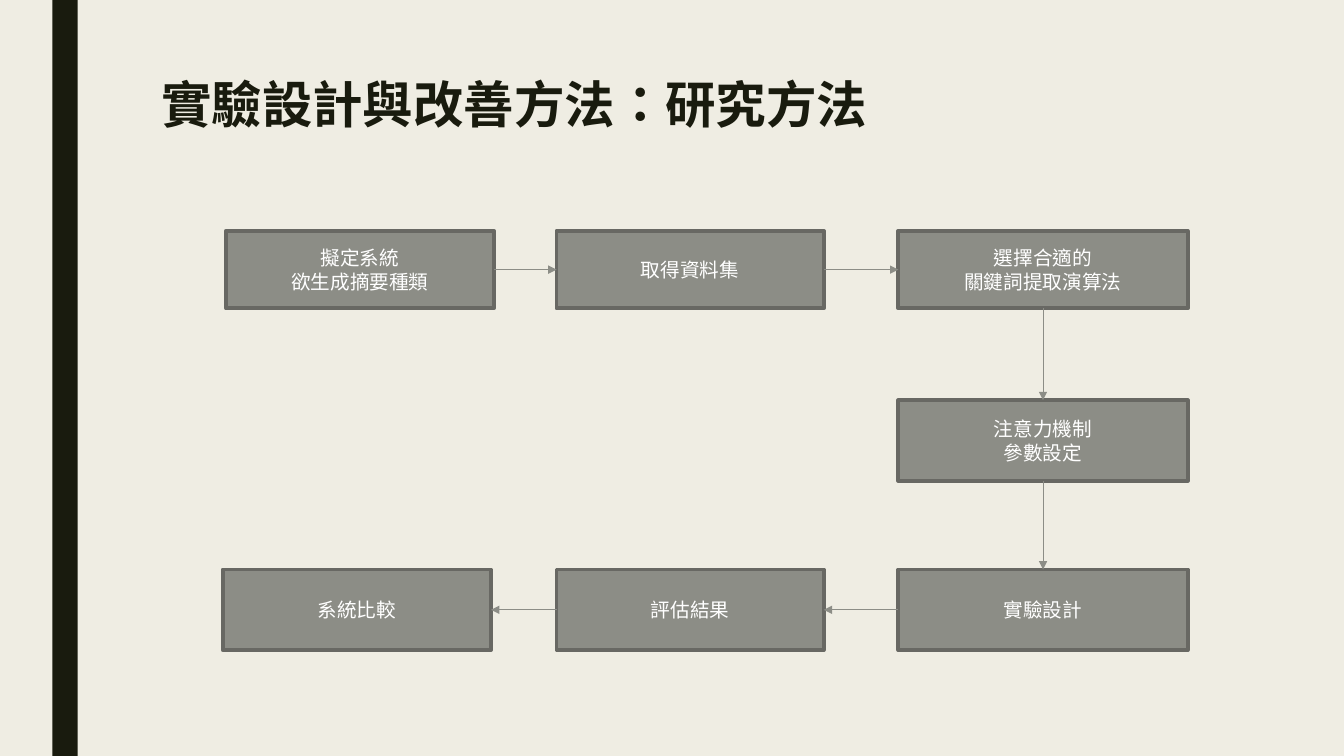
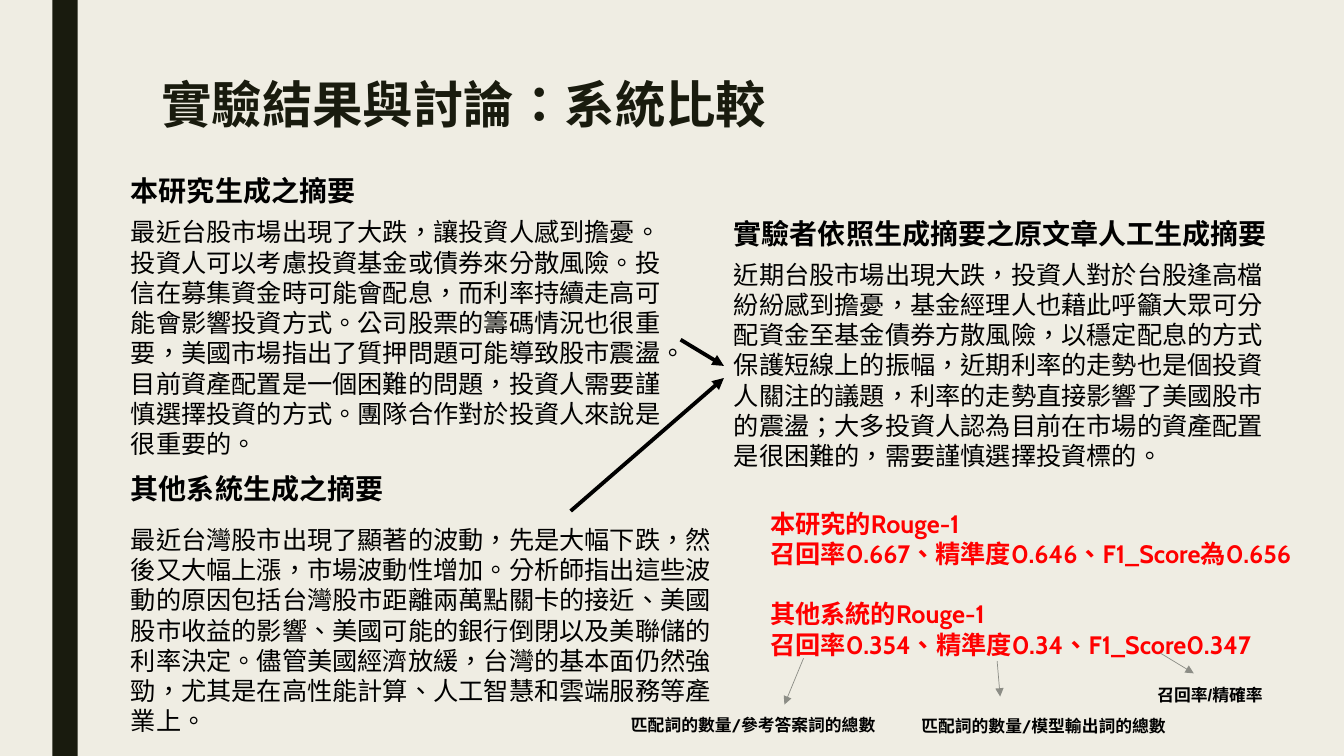
from lxml.etree import SubElement
from pptx import Presentation
from pptx.dml.color import RGBColor
from pptx.enum.lang import MSO_LANGUAGE_ID
from pptx.enum.shapes import MSO_CONNECTOR, MSO_SHAPE
from pptx.enum.text import MSO_ANCHOR, MSO_AUTO_SIZE, PP_ALIGN
from pptx.oxml.ns import qn
from pptx.util import Inches, Pt

COLORS = {
    "paper": "EFEDE3",
    "ink": "191B0E",
    "box": "8C8D86",
    "edge": "686863",
    "white": "FFFFFF",
    "black": "000000",
    "red": "FF0000",
}
TOP, LEFT, BOTTOM, RIGHT = range(4)  # connection sites of a rectangle


def color(name):
    return RGBColor.from_string(COLORS[name])


def write(tf, text, size=18, ink="black", bold=False, font="Cabin",
          align=PP_ALIGN.LEFT, anchor=MSO_ANCHOR.TOP, spacing=None):
    """Fill a text frame, one paragraph per line of text."""
    tf.word_wrap = True
    tf.auto_size = MSO_AUTO_SIZE.NONE
    tf.vertical_anchor = anchor
    tf.text = text
    for p in tf.paragraphs:
        p.alignment = align
        p.line_spacing = spacing
        for r in p.runs:
            r.font.name = font
            r.font.size = Pt(size)
            r.font.bold = bold
            r.font.color.rgb = color(ink)
            r.font.language_id = MSO_LANGUAGE_ID.TRADITIONAL_CHINESE
    return tf


prs = Presentation()
prs.slide_width, prs.slide_height = Inches(13.33), Inches(7.5)

# Shared background, title place and side band
master = prs.slide_master
master.background.fill.solid()
master.background.fill.fore_color.rgb = color("paper")
layout = prs.slide_layouts.get_by_name("Title Only")
title = layout.placeholders[0]
title.left, title.top = Inches(1.5), Inches(0.75)
title.width, title.height = Inches(10.5), Inches(1.62)

slides = []
for heading in ("實驗設計與改善方法：研究方法", "實驗結果與討論：系統比較"):
    s = prs.slides.add_slide(layout)
    write(s.shapes.title.text_frame, heading, size=36, ink="ink", bold=True, spacing=0.89)
    slides.append(s)
method, results = slides

band = method.shapes.add_shape(MSO_SHAPE.RECTANGLE, Inches(0.52), 0, Inches(0.25), prs.slide_height)
band.shadow.inherit = False
band.fill.solid()
band.fill.fore_color.rgb = color("ink")
band.line.fill.background()
master.shapes.element.insert(2, band.element)

# Slide 1: flow chart; each step leaves through the given side
steps = [
    ("擬定系統\n欲生成摘要種類", 2.24, 2.29, 2.66, 0.77, RIGHT),
    ("取得資料集", 5.52, 2.29, 2.65, 0.77, RIGHT),
    ("選擇合適的\n關鍵詞提取演算法", 8.91, 2.29, 2.87, 0.77, BOTTOM),
    ("注意力機制\n參數設定", 8.91, 3.97, 2.87, 0.8, BOTTOM),
    ("實驗設計", 8.91, 5.65, 2.87, 0.8, LEFT),
    ("評估結果", 5.52, 5.65, 2.65, 0.8, LEFT),
    ("系統比較", 2.21, 5.65, 2.66, 0.8, None),
]
boxes = []
for text, x, y, w, h, _ in steps:
    box = method.shapes.add_shape(MSO_SHAPE.RECTANGLE, Inches(x), Inches(y), Inches(w), Inches(h))
    box.shadow.inherit = False
    box.fill.solid()
    box.fill.fore_color.rgb = color("box")
    box.line.color.rgb = color("edge")
    box.line.width = Pt(2.75)
    write(box.text_frame, text, size=14, ink="white", align=PP_ALIGN.CENTER, anchor=MSO_ANCHOR.MIDDLE)
    boxes.append(box)

arrows = []
for step, box, following in zip(steps, boxes, boxes[1:]):
    side = step[-1]
    arrow = method.shapes.add_connector(MSO_CONNECTOR.STRAIGHT, 0, 0, 0, 0)
    arrow.begin_connect(box, side)
    arrow.end_connect(following, (side + 2) % 4)
    arrows.append((arrow, "box", 0.5))

# Slide 2: summaries, scores and formulas
heading = {"size": 20, "bold": True}
note = {"size": 12, "bold": True}
texts = [
    ("本研究生成之摘要", 1.2, 1.67, 3.59, 0.44, heading),
    ("最近台股市場出現了大跌，讓投資人感到擔憂。投資人可以考慮投資基金或債券來分散風險。"
     "投信在募集資金時可能會配息，而利率持續走高可能會影響投資方式。公司股票的籌碼情況也很重要，"
     "美國市場指出了質押問題可能導致股市震盪。目前資產配置是一個困難的問題，"
     "投資人需要謹慎選擇投資的方式。團隊合作對於投資人來說是很重要的。",
     1.2, 2.1, 5.55, 2.52, {}),
    ("其他系統生成之摘要", 1.2, 4.63, 3.86, 0.44, heading),
    ("最近台灣股市出現了顯著的波動，先是大幅下跌，然後又大幅上漲，市場波動性增加。"
     "分析師指出這些波動的原因包括台灣股市距離兩萬點關卡的接近、美國股市收益的影響、"
     "美國可能的銀行倒閉以及美聯儲的利率決定。儘管美國經濟放緩，台灣的基本面仍然強勁，"
     "尤其是在高性能計算、人工智慧和雲端服務等產業上。",
     1.2, 5.15, 5.98, 2.22, {}),
    ("實驗者依照生成摘要之原文章人工生成摘要", 7.18, 2.1, 5.55, 0.44, heading),
    ("近期台股市場出現大跌，投資人對於台股逢高檔紛紛感到擔憂，基金經理人也藉此呼籲大眾可分配"
     "資金至基金債券方散風險，以穩定配息的方式保護短線上的振幅，近期利率的走勢也是個投資人關注的議題，"
     "利率的走勢直接影響了美國股市的震盪；大多投資人認為目前在市場的資產配置是很困難的，"
     "需要謹慎選擇投資標的。",
     7.18, 2.52, 5.55, 2.22, {}),
    ("匹配詞的數量/參考答案詞的總數", 6.16, 7.04, 2.64, 0.3, note),
    ("匹配詞的數量/模型輸出詞的總數", 9.04, 7.05, 2.64, 0.3, note),
    ("召回率/精確率", 11.38, 6.74, 1.95, 0.5, {**note, "font": "Arial"}),
    ("本研究的Rouge-1\n召回率0.667、精準度0.646、F1_Score為0.656\n"
     "其他系統的Rouge-1\n召回率0.354、精準度0.34、F1_Score0.347",
     7.54, 4.99, 6.28, 1.92, {"ink": "red", "bold": True}),
]
for text, x, y, w, h, style in texts:
    tb = results.shapes.add_textbox(Inches(x), Inches(y), Inches(w), Inches(h))
    scores = write(tb.text_frame, text, **style)
scores.paragraphs[2].space_before = Pt(21.6)

for x1, y1, x2, y2, ink, width in [
    (6.75, 3.37, 7.18, 3.63, "black", 2.75),
    (5.66, 5.07, 7.18, 3.75, "black", 2.75),
    (7.97, 6.53, 7.78, 6.99, "box", 0.5),
    (9.89, 6.56, 9.92, 6.91, "box", 0.5),
    (11.51, 6.48, 11.84, 6.68, "box", 0.5),
]:
    arrow = results.shapes.add_connector(
        MSO_CONNECTOR.STRAIGHT, Inches(x1), Inches(y1), Inches(x2), Inches(y2))
    arrows.append((arrow, ink, width))

# Arrow style for both slides
for arrow, ink, width in arrows:
    arrow.line.color.rgb = color(ink)
    arrow.line.width = Pt(width)
    SubElement(arrow.line._get_or_add_ln(), qn("a:tailEnd"), type="triangle")
    SubElement(arrow.element.spPr, qn("a:effectLst"))

prs.save("out.pptx")
